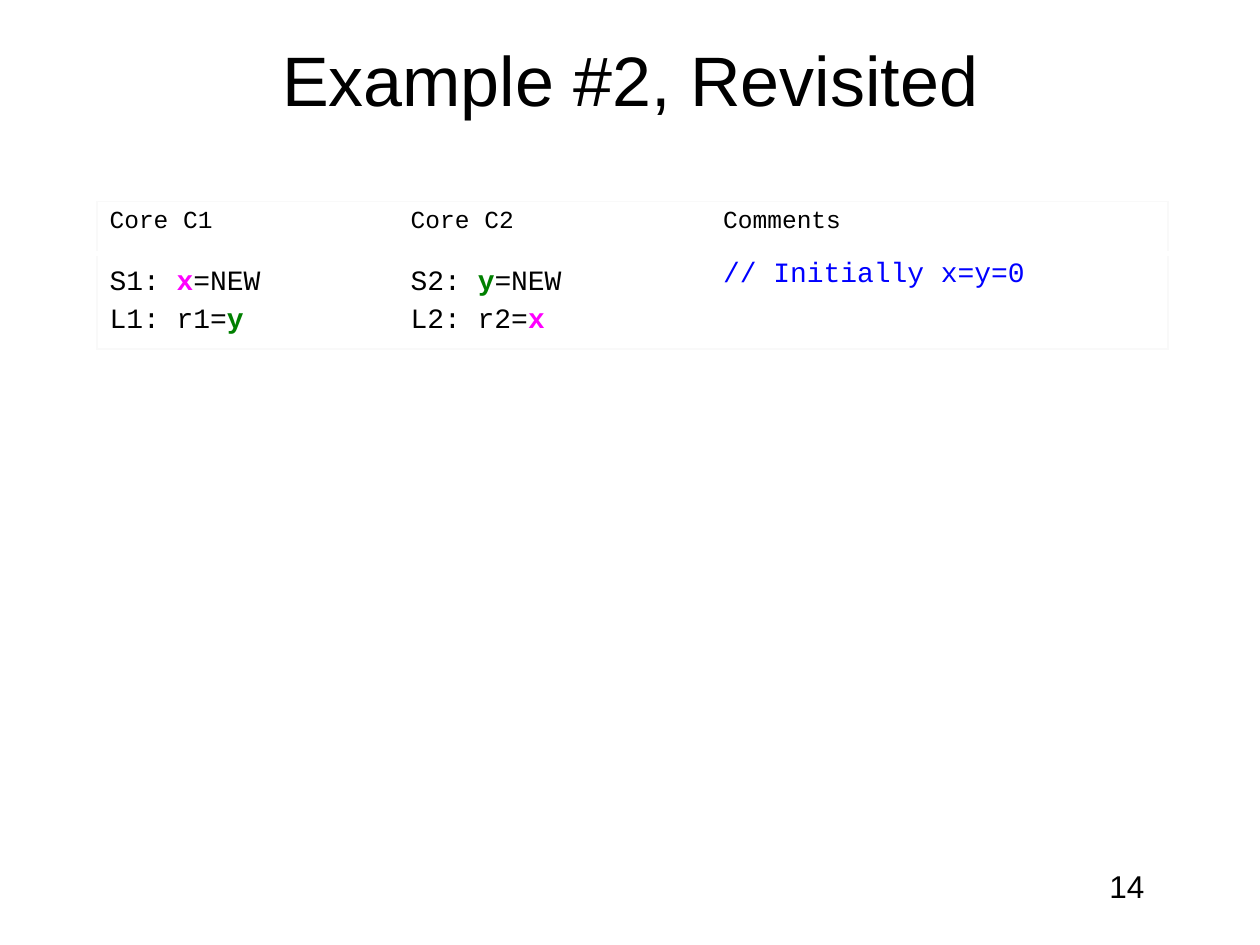
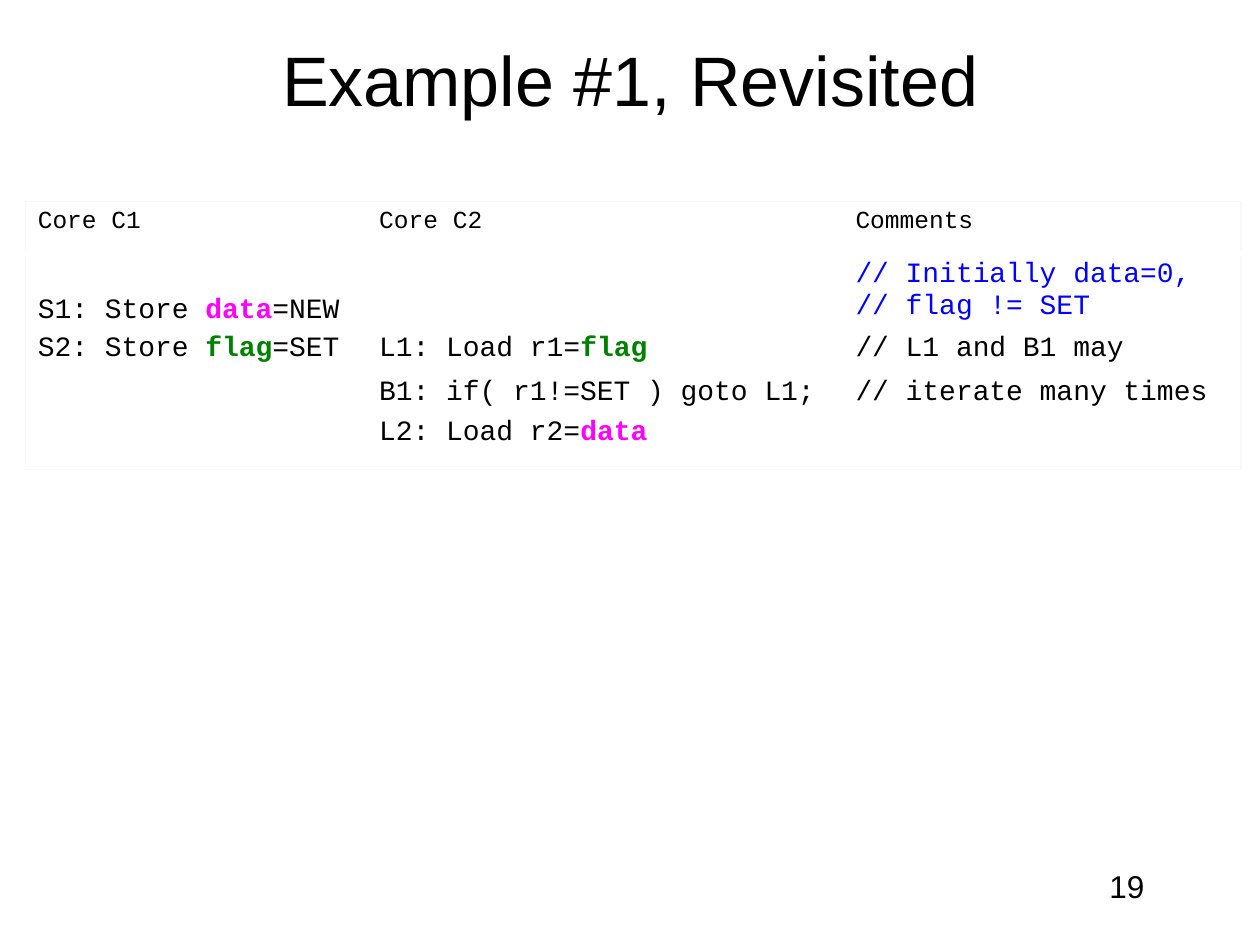
from lxml import etree
from pptx import Presentation
from pptx.dml.color import RGBColor
from pptx.enum import text
from pptx.oxml import ns
from pptx.util import Inches, Pt

COLORS = {
    "ink": "000000", "paper": "FFFFFF", "frame": "F9F9F9",
    "data": "FF00FF", "flag": "008000", "initial": "0000FF",
}
TITLE = {"name": "Arial", "size": Pt(40)}
NUMBER = {"name": "Arial", "size": Pt(18)}
HEADING = {"name": "Courier New", "size": Pt(14), "bold": False}
CODE = {"name": "Courier New", "size": Pt(16), "bold": False}
VARIABLE = {**CODE, "bold": True}

HEADINGS = [["Core C1"], ["Core C2"], ["Comments"]]
EXAMPLES = [
    {
        "title": "Example #2, Revisited", "number": 14, "left": 0.77,
        "columns": [2.39, 2.48, 3.63], "heights": [0.41, 0.41, 0.35],
        "rows": [
            [[["S1: ", ("x", "data"), "=NEW"]],
             [["S2: ", ("y", "flag"), "=NEW"]],
             [[("// Initially x=y=0", "initial")]]],
            [[["L1: r1=", ("y", "flag")]],
             [["L2: r2=", ("x", "data")]],
             []],
        ],
    },
    {
        "title": "Example #1, Revisited", "number": 19, "left": 0.2,
        "columns": [2.71, 3.78, 3.16], "heights": [0.41, 0.61, 0.35, 0.32, 0.41],
        "rows": [
            [[["S1: Store ", ("data", "data"), "=NEW"]],
             [],
             [[("// Initially data=0,", "initial")], [("// flag != SET", "initial")]]],
            [[["S2: Store ", ("flag", "flag"), "=SET"]],
             [["L1: Load r1=", ("flag", "flag")]],
             [["// L1 and B1 may"]]],
            [[],
             [["B1: if( r1!=SET ) goto L1;"]],
             [["// iterate many times"]]],
            [[],
             [["L2: Load r2=", ("data", "data")]],
             []],
        ],
    },
]


def rgb(color):
    return RGBColor.from_string(COLORS[color])


def add_run(paragraph, words, style, color="ink"):
    run = paragraph.add_run()
    run.text = words
    for key, value in style.items():
        setattr(run.font, key, value)
    run.font.color.rgb = rgb(color)


def add_label(slide, box, words, style, align, anchor):
    frame = slide.shapes.add_textbox(*map(Inches, box)).text_frame
    frame.word_wrap = True
    frame.vertical_anchor = anchor
    frame.paragraphs[0].alignment = align
    add_run(frame.paragraphs[0], words, style)


def write_code(cell, lines, style):
    frame = cell.text_frame
    for index, line in enumerate(lines):
        paragraph = frame.add_paragraph() if index else frame.paragraphs[0]
        for piece in line:
            words, color = (piece, "ink") if isinstance(piece, str) else piece
            is_variable = color in ("data", "flag")
            add_run(paragraph, words, VARIABLE if is_variable else style, color)


def set_borders(cell, borders):
    properties = cell._tc.get_or_add_tcPr()
    for index, side in enumerate("LRTB"):
        line = etree.Element(ns.qn(f"a:ln{side}"))
        if side in borders:
            color, width = borders[side]
            line.set("w", str(Pt(width)))
            fill = etree.SubElement(line, ns.qn("a:solidFill"))
            etree.SubElement(fill, ns.qn("a:srgbClr"), val=COLORS[color])
        else:
            etree.SubElement(line, ns.qn("a:noFill"))
        properties.insert(index, line)


def fill_cell(cell, tinted):
    if not tinted:
        cell.fill.background()
        return
    cell.fill.solid()
    cell.fill.fore_color.rgb = rgb("paper")
    tint = cell._tc.tcPr.find(".//" + ns.qn("a:srgbClr"))
    etree.SubElement(tint, ns.qn("a:alpha"), val="20000")


def cell_borders(row, column, last_row, last_column):
    frame = ("frame", 0.75)
    rule = ("paper", 3)
    edges = {"L": column == 0, "R": column == last_column,
             "T": row == 0, "B": row == last_row}
    borders = {side: frame for side, outer in edges.items() if outer}
    if row == 0:
        borders["B"] = rule
    elif row == 1:
        borders["T"] = rule
    return borders


def add_code_table(slide, left, columns, heights, rows):
    box = (left, 1.6, sum(columns), sum(heights))
    table = slide.shapes.add_table(len(heights), len(columns), *map(Inches, box)).table
    table.first_row = table.horz_banding = False
    for column, width in zip(table.columns, columns):
        column.width = Inches(width)
    for r, (height, cells) in enumerate(zip(heights, [[[h] for h in HEADINGS]] + rows)):
        table.rows[r].height = Inches(height)
        for c, lines in enumerate(cells):
            cell = table.cell(r, c)
            write_code(cell, lines, CODE if r else HEADING)
            if r > 1:
                cell.margin_top = cell.margin_bottom = 0
            if r == 1 and c < len(columns) - 1:
                cell.vertical_anchor = text.MSO_ANCHOR.BOTTOM
            fill_cell(cell, r % 2 == 1)
            set_borders(cell, cell_borders(r, c, len(heights) - 1, len(columns) - 1))


def add_example(deck, example):
    slide = deck.slides.add_slide(deck.slide_layouts[6])
    slide.background.fill.solid()
    slide.background.fill.fore_color.rgb = rgb("paper")
    add_label(slide, (0.75, 0, 8.5, 1.25), example["title"], TITLE,
              text.PP_ALIGN.CENTER, text.MSO_ANCHOR.MIDDLE)
    add_code_table(slide, example["left"], example["columns"],
                   example["heights"], example["rows"])
    add_label(slide, (7.17, 6.83, 2.08, 0.5), f"{example['number']} ", NUMBER,
              text.PP_ALIGN.RIGHT, text.MSO_ANCHOR.TOP)


def main():
    deck = Presentation()
    deck.slide_width, deck.slide_height = Inches(10), Inches(7.5)
    for example in EXAMPLES:
        add_example(deck, example)
    deck.save("out.pptx")


if __name__ == "__main__":
    main()
